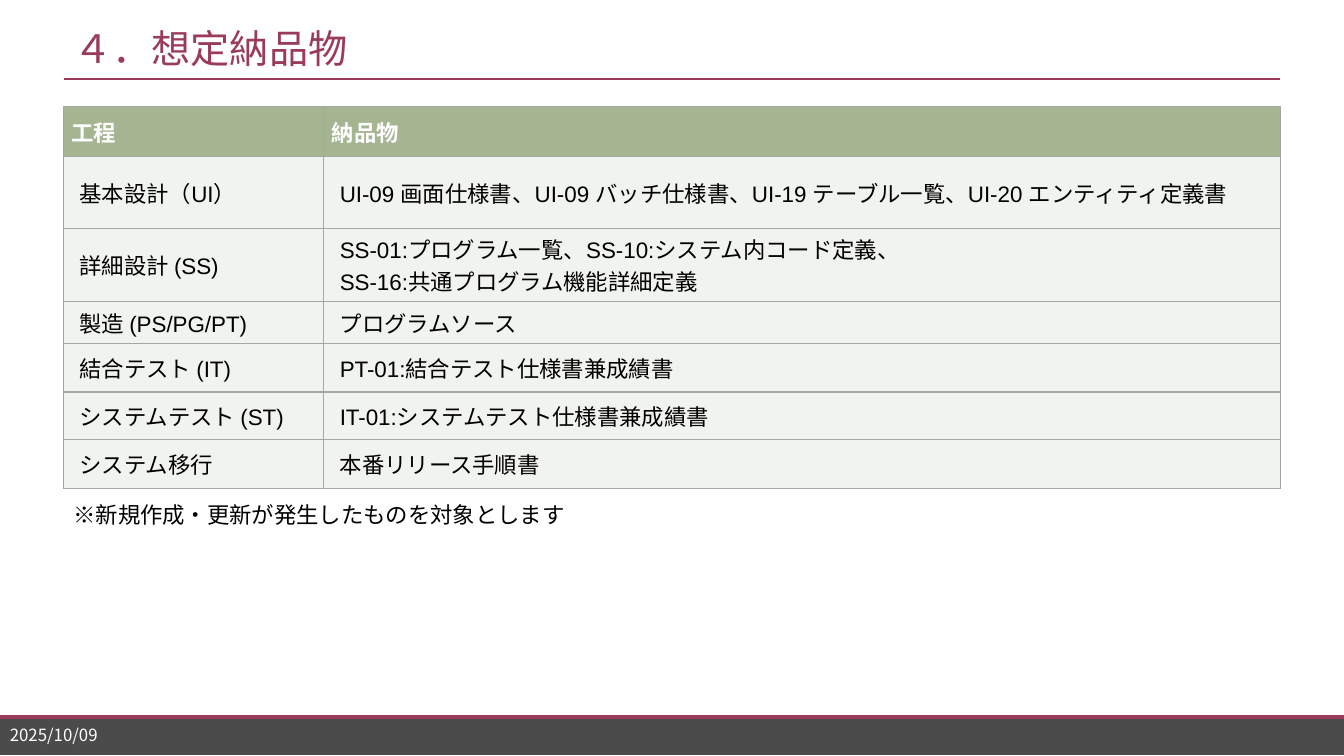
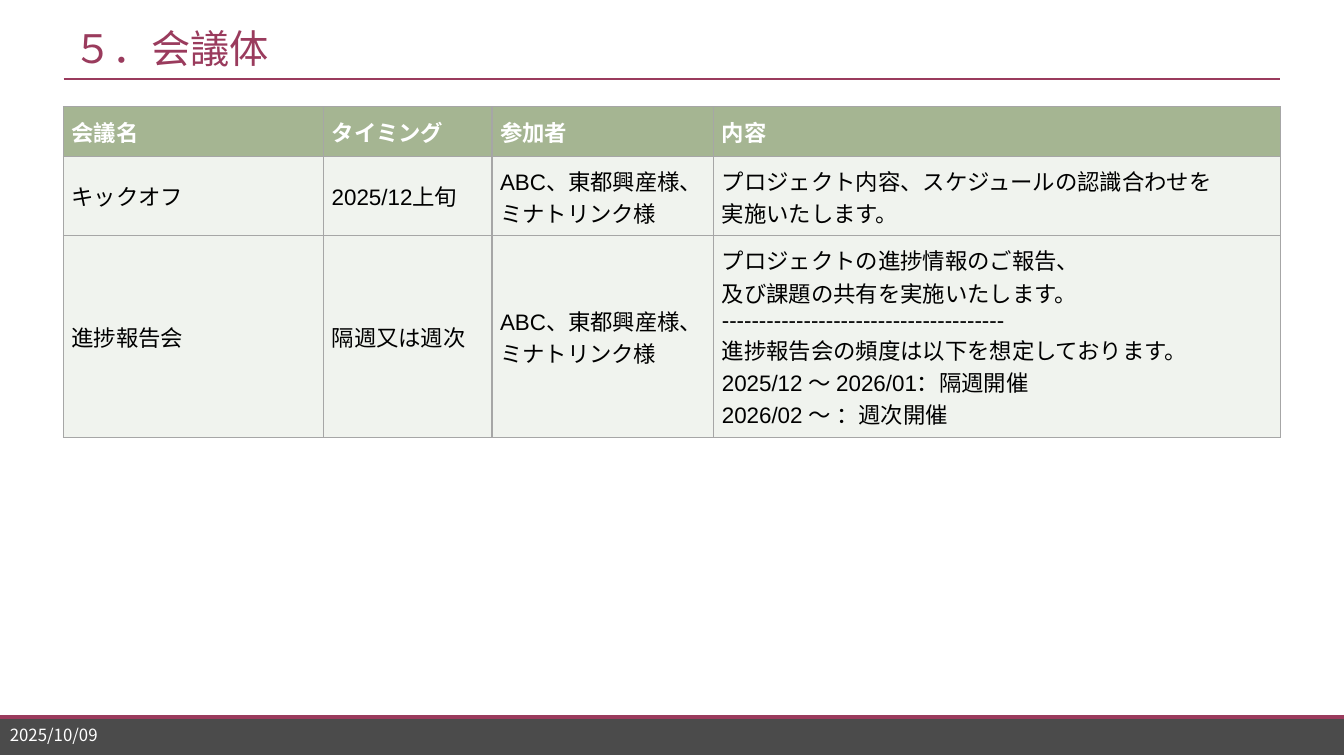
from lxml import etree
from pptx import Presentation
from pptx import util as u
from pptx.dml.color import RGBColor
from pptx.enum import shapes, text
from pptx.oxml import ns

WINE, DARK, SAGE, PALE = "9A3B5D", "4B4B4B", "A5B592", "F0F3EE"
GREY, WHITE, BLACK = "A6A6A6", "FFFFFF", "000000"
SANS, LATIN = "Noto Sans CJK JP", "Arial"
LEFT, WIDTH, PAGE = 0.63, 12.07, 13.33


def rgb(code):
    return RGBColor.from_string(code)


def sub(node, tag, **attrs):
    return etree.SubElement(node, ns.qn(tag), attrs)


class Deck:
    """Holds the shared style and the current slide."""

    def __init__(self):
        self.prs = Presentation()
        self.prs.slide_width = u.Inches(PAGE)
        self.prs.slide_height = u.Inches(7.5)
        self.slide = None

    def page(self, title):
        self.slide = self.prs.slides.add_slide(self.prs.slide_layouts[6])
        self.band(0, 7.1, PAGE, 0.39, DARK)
        self.rule(0, 7.11, PAGE, 2.75)
        self.rule(LEFT, 0.78, WIDTH, 1.5)
        self.label(title, LEFT, 0.2, WIDTH, 0.55, 28, WINE)
        self.label("2025/10/09", 0, 7.17, 1.57, 0.24, 12, WHITE)

    def band(self, x, y, w, h, fill):
        box = self.slide.shapes.add_shape(
            shapes.MSO_SHAPE.RECTANGLE, *map(u.Inches, (x, y, w, h)))
        box.shadow.inherit = False
        box.fill.solid()
        box.fill.fore_color.rgb = rgb(fill)
        box.line.fill.background()

    def rule(self, x, y, w, size):
        line = self.slide.shapes.add_connector(
            shapes.MSO_CONNECTOR.STRAIGHT, *map(u.Inches, (x, y, x + w, y)))
        line.line.color.rgb = rgb(WINE)
        line.line.width = u.Pt(size)
        sub(line._element.spPr, "a:effectLst")

    def fill_text(self, frame, words, size, color, face=SANS, bold=False):
        frame.word_wrap = True
        for i, part in enumerate(words.split("\n")):
            para = frame.add_paragraph() if i else frame.paragraphs[0]
            para.add_run().text = part
            font = para.font
            font.size, font.bold, font.name = u.Pt(size), bold, face
            font.color.rgb = rgb(color)
            sub(para._p.pPr.find(ns.qn("a:defRPr")), "a:ea", typeface=SANS)

    def label(self, words, x, y, w, h, size, color,
              anchor=text.MSO_ANCHOR.MIDDLE):
        box = self.slide.shapes.add_textbox(*map(u.Inches, (x, y, w, h)))
        box.text_frame.vertical_anchor = anchor
        self.fill_text(box.text_frame, words, size, color)

    def cell(self, cell, words, head, pad):
        cell.vertical_anchor = text.MSO_ANCHOR.MIDDLE
        side, edge = map(u.Inches, pad)
        cell.margin_left = cell.margin_right = side
        cell.margin_top = cell.margin_bottom = edge
        for tag in ("a:lnL", "a:lnR", "a:lnT", "a:lnB"):
            line = sub(cell._tc.get_or_add_tcPr(), tag, w=str(u.Pt(1)))
            sub(sub(line, "a:solidFill"), "a:srgbClr", val=GREY)
        cell.fill.solid()
        cell.fill.fore_color.rgb = rgb(SAGE if head else PALE)
        self.fill_text(cell.text_frame, words, 16,
                       WHITE if head else BLACK, LATIN, head)

    def table(self, rows, cols, highs, pad):
        grid = self.slide.shapes.add_table(
            len(rows), len(cols),
            *map(u.Inches, (LEFT, 1.06, WIDTH, sum(highs)))).table
        for col, wide in zip(grid.columns, cols):
            col.width = u.Inches(wide)
        for i, (row, high) in enumerate(zip(rows, highs)):
            grid.rows[i].height = u.Inches(high)
            for j, words in enumerate(row):
                self.cell(grid.cell(i, j), words, i == 0,
                          pad if i else (0.08, 0.05))


def main():
    deck = Deck()
    deck.page("４．想定納品物")
    deck.table([
        ("工程", "納品物"),
        ("基本設計（UI）", "UI-09 画面仕様書、UI-09 バッチ仕様書、"
         "UI-19 テーブル一覧、UI-20 エンティティ定義書"),
        ("詳細設計 (SS)", "SS-01:プログラム一覧、SS-10:システム内コード定義、\n"
         "SS-16:共通プログラム機能詳細定義"),
        ("製造 (PS/PG/PT)", "プログラムソース"),
        ("結合テスト (IT)", "PT-01:結合テスト仕様書兼成績書"),
        ("システムテスト (ST)", "IT-01:システムテスト仕様書兼成績書"),
        ("システム移行", "本番リリース手順書"),
    ], (2.58, 9.49), (0.49, 0.72, 0.72, 0.42, 0.48, 0.47, 0.49), (0.16, 0.04))
    deck.label("※新規作成・更新が発生したものを対象とします",
               LEFT, 4.92, 7.66, 0.35, 16, BLACK, text.MSO_ANCHOR.TOP)

    deck.page("５．会議体")
    guests = "ABC、東都興産様、\nミナトリンク様"
    deck.table([
        ("会議名", "タイミング", "参加者", "内容"),
        ("キックオフ", "2025/12上旬", guests,
         "プロジェクト内容、スケジュールの認識合わせを\n実施いたします。"),
        ("進捗報告会", "隔週又は週次", guests,
         "プロジェクトの進捗情報のご報告、\n"
         "及び課題の共有を実施いたします。\n"
         "--------------------------------------\n"
         "進捗報告会の頻度は以下を想定しております。\n"
         "2025/12 ～ 2026/01：隔週開催\n"
         "2026/02 ～ ：週次開催"),
    ], (2.58, 1.67, 2.2, 5.62), (0.49, 0.79, 2), (0.08, 0.08))
    deck.prs.save("out.pptx")


if __name__ == "__main__":
    main()
